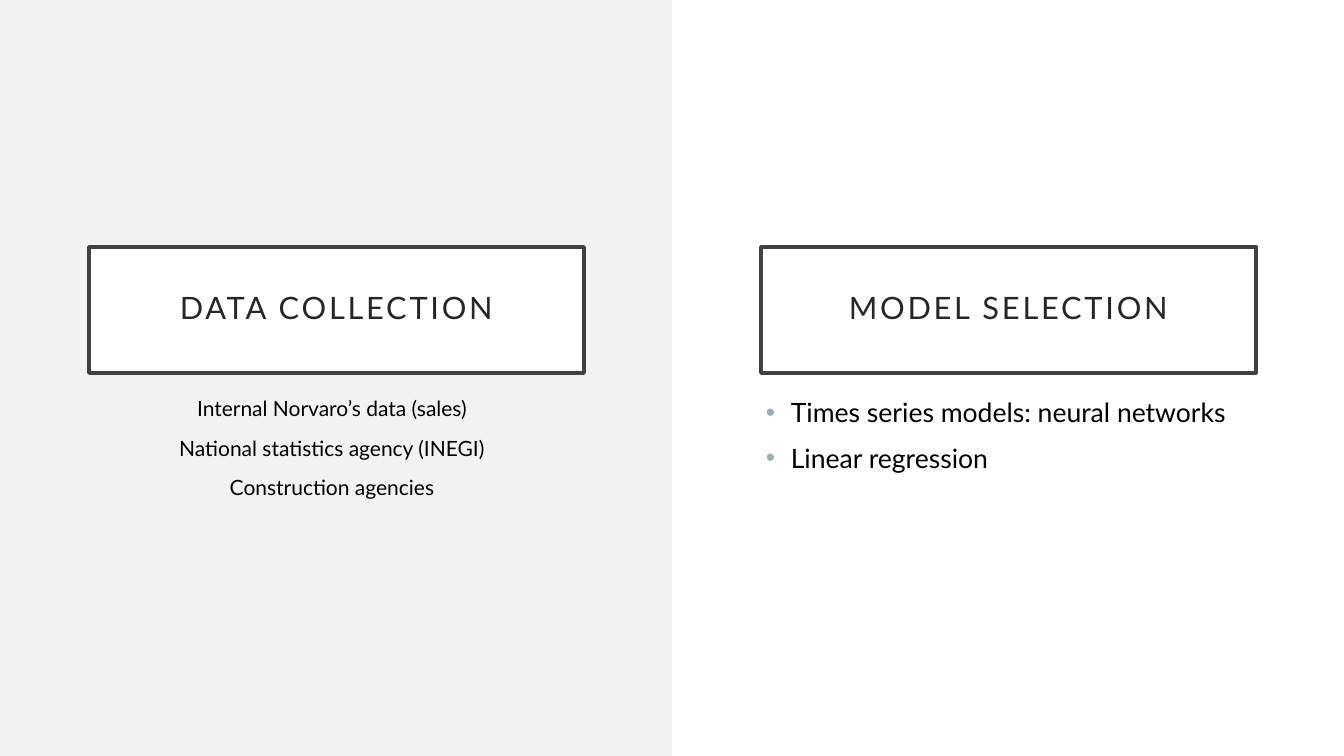
from lxml import etree
from pptx import Presentation
from pptx.dml.color import RGBColor
from pptx.enum.shapes import MSO_SHAPE
from pptx.enum.text import MSO_ANCHOR, PP_ALIGN
from pptx.oxml.ns import qn
from pptx.util import Emu, Pt

RECTANGLE = MSO_SHAPE.RECTANGLE
MIDDLE = MSO_ANCHOR.MIDDLE
LEFT, CENTER = PP_ALIGN.LEFT, PP_ALIGN.CENTER

COLORS = {"backdrop": "F2F2F2", "panel": "FFFFFF", "border": "404040",
          "heading": "262626", "body": "000000", "bullet": "9BAFB5"}
FONT = "Lato"
SLIDE_W, SLIDE_H = 1344, 756
HALF_W = SLIDE_W // 2
HEADING_BOX = (89, 247, 495, 126)  # within each half
HEADING_INSET = 20
BULLET_INDENT = 25

COLUMNS = [
    {"heading": "DATA COLLECTION",
     "points": ["Internal Norvaro’s data (sales)",
                "National statistics agency (INEGI)",
                "Construction agencies"],
     "box": (123, 391, 418, 242), "size": 15, "align": CENTER, "bulleted": False},
    {"heading": "MODEL SELECTION",
     "points": ["Times series models: neural networks",
                "Linear regression"],
     "box": (756, 391, 531, 99), "size": 19, "align": LEFT, "bulleted": True},
]


def px(length):
    return Emu(round(length * 914400 / 100.8))


def color(name):
    return RGBColor.from_string(COLORS[name])


def add_panel(slide, box):
    panel = slide.shapes.add_shape(RECTANGLE, *map(px, box))
    panel.shadow.inherit = False
    panel.fill.solid()
    panel.fill.fore_color.rgb = color("panel")
    panel.line.fill.background()
    return panel


def write(paragraph, text, size, color_name):
    run = paragraph.add_run()
    run.text = text
    for attribute, value in {"name": FONT, "size": Pt(size)}.items():
        setattr(run.font, attribute, value)
    run.font.color.rgb = color(color_name)
    return run


def add_bullet(paragraph):
    properties = paragraph._p.get_or_add_pPr()
    properties.set("marL", str(px(BULLET_INDENT)))
    properties.set("indent", str(-px(BULLET_INDENT)))
    bullet_color = etree.SubElement(properties, qn("a:buClr"))
    etree.SubElement(bullet_color, qn("a:srgbClr"), val=COLORS["bullet"])
    etree.SubElement(properties, qn("a:buFont"), typeface="Arial")
    etree.SubElement(properties, qn("a:buChar"), char="•")


def add_heading(slide, text, offset):
    left, top, width, height = HEADING_BOX
    heading = add_panel(slide, (left + offset, top, width, height))
    heading.line.color.rgb = color("border")
    heading.line.width = Pt(2.5)
    frame = heading.text_frame
    inset = px(HEADING_INSET)
    frame_format = {"word_wrap": True, "vertical_anchor": MIDDLE,
                    "margin_left": inset, "margin_right": inset,
                    "margin_top": inset, "margin_bottom": inset}
    for attribute, value in frame_format.items():
        setattr(frame, attribute, value)
    paragraph = frame.paragraphs[0]
    paragraph.alignment = CENTER
    paragraph.line_spacing = 0.9
    run = write(paragraph, text, 22, "heading")
    run.font._element.set("spc", "200")


def add_points(slide, column):
    frame = slide.shapes.add_textbox(*map(px, column["box"])).text_frame
    frame.word_wrap = True
    for index, point in enumerate(column["points"]):
        paragraph = frame.add_paragraph() if index else frame.paragraphs[0]
        paragraph.alignment = column["align"]
        paragraph.space_before = Pt(10)
        if column["bulleted"]:
            add_bullet(paragraph)
        write(paragraph, point, column["size"], "body")


def main():
    deck = Presentation()
    deck.slide_width, deck.slide_height = px(SLIDE_W), px(SLIDE_H)
    slide = deck.slides.add_slide(deck.slide_layouts[6])
    slide.background.fill.solid()
    slide.background.fill.fore_color.rgb = color("backdrop")
    add_panel(slide, (HALF_W, 0, HALF_W, SLIDE_H))
    for index, column in enumerate(COLUMNS):
        add_heading(slide, column["heading"], index * HALF_W)
        add_points(slide, column)
    deck.save("out.pptx")


if __name__ == "__main__":
    main()
